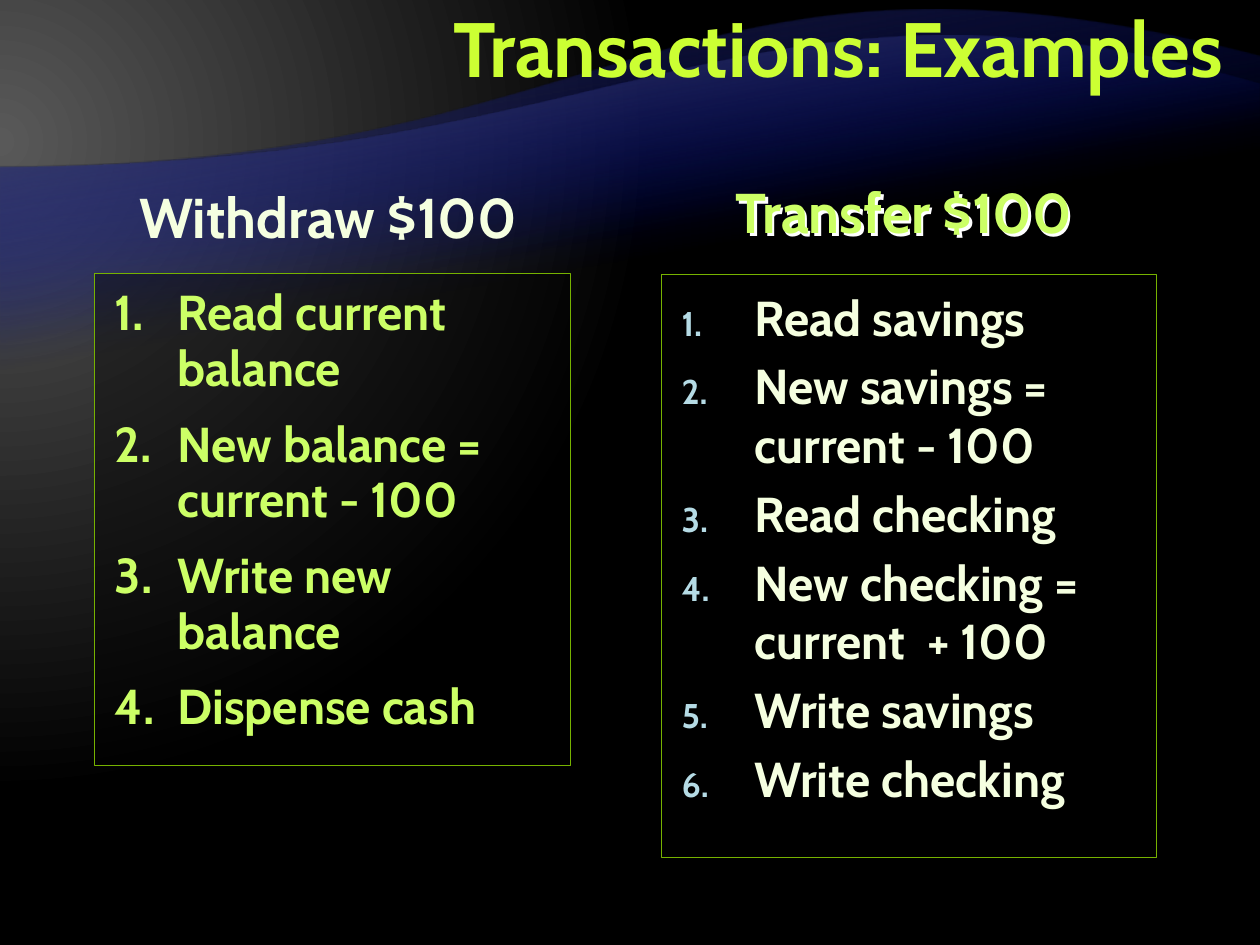
"""Build the slide comparing the withdraw and transfer transactions."""
from lxml import etree
from pptx import Presentation, util as u
from pptx.dml.color import RGBColor
from pptx.enum import shapes, text
from pptx.oxml import ns

rgb = RGBColor.from_string


def gradient(fill, root, stops, direction):
    fill.gradient()
    grad = root.find(".//" + ns.qn("a:gradFill"))
    for child in list(grad):
        grad.remove(child)
    gs_list = etree.SubElement(grad, ns.qn("a:gsLst"))
    for pos, color, alpha in stops:
        gs = etree.SubElement(gs_list, ns.qn("a:gs"), pos=str(pos * 1000))
        clr = etree.SubElement(gs, ns.qn("a:srgbClr"), val=color)
        if alpha < 100:
            etree.SubElement(clr, ns.qn("a:alpha"), val=str(alpha * 1000))
    grad.append(etree.fromstring(direction.replace("/>", f' xmlns:a="{ns.nsuri("a")}"/>', 1)
                                 if direction.startswith("<a:lin") else
                                 direction.replace("<a:path", f'<a:path xmlns:a="{ns.nsuri("a")}"', 1)))


prs = Presentation()
prs.slide_width, prs.slide_height = u.Inches(10), u.Inches(7.5)
COL, ROW = prs.slide_width / 100, prs.slide_height / 75
slide = prs.slides.add_slide(prs.slide_layouts[6])
gradient(slide.background.fill, slide.background._cSld,
         [(0, "595959", 100), (83, "000000", 100)],
         '<a:path path="circle"><a:fillToRect l="20000" t="30000" r="135000" b="100000"/></a:path>')

STEPS = 60
waves = [
    ([(0, 13.3), (50, 13.3), (53.4, -7.5), (100, 4.5)], 65.3, "262626"),
    ([(0, 13.3), (50, 13.3), (59.8, -4.9), (100, 6.7)], 55.7, "595959"),
]
for (a, b, c, d), bottom, edge in waves:
    points = []
    for i in range(STEPS + 1):
        t = i / STEPS
        weights = ((1 - t) ** 3, 3 * t * (1 - t) ** 2, 3 * t * t * (1 - t), t ** 3)
        points.append([sum(w * q[k] for w, q in zip(weights, (a, b, c, d))) for k in (0, 1)])
    builder = slide.shapes.build_freeform(0, round(bottom * 100), scale=COL / 100)
    builder.add_line_segments([(round(x * 100), round(y * 100)) for x, y in points]
                              + [(10000, round(bottom * 100))])
    s = builder.convert_to_shape()
    s.shadow.inherit = False
    s.line.fill.background()
    gradient(s.fill, s._element, [(65, "000D9E", 0), (100, edge, 100)],
             '<a:lin ang="15600000" scaled="0"/>')

headings = [
    ("Transactions: Examples", (26.4, 0.8, 71.7, 9.9), 44, "CCFF33", text.PP_ALIGN.RIGHT, u.Pt(44), False),
    ("Withdraw $100", (7.7, 14, 36.7, 5.5), 32, "F5FFE0", text.PP_ALIGN.CENTER, 1.0, False),
    ("Transfer $100", (52.5, 14, 38.5, 5.5), 32, "CCFF66", text.PP_ALIGN.CENTER, 0.95, True),
]
for words, (x, y, w, h), size, color, align, spacing, shadowed in headings:
    s = slide.shapes.add_textbox(int(x * COL), int(y * ROW), int(w * COL), int(h * ROW))
    tf = s.text_frame
    tf.word_wrap = True
    tf.text = words
    p = tf.paragraphs[0]
    p.alignment, p.line_spacing = align, spacing
    r = p.runs[0]
    r.font.name, r.font.size, r.font.bold = "Cabin", u.Pt(size), True
    r.font.color.rgb = rgb(color)
    if shadowed:
        effects = etree.SubElement(s._element.spPr, ns.qn("a:effectLst"))
        shadow = etree.SubElement(effects, ns.qn("a:outerShdw"), dist="25400", dir="2700000",
                                  algn="ctr", rotWithShape="0")
        etree.SubElement(shadow, ns.qn("a:srgbClr"), val="FFFFFF")

panels = [
    ((52.5, 21.8, 39.3, 47.2 - 1), "F5FFE0", "B5DBE5", 70, 0.58, 1.0, 0.2,
     ["Read savings", "New savings =\vcurrent - 100", "Read checking",
      "New checking =\vcurrent  + 100", "Write savings", "Write checking"]),
    ((7.5, 21.7, 37.8, 39), "CCFF66", "CCFF66", 100, 0.5, 0.95, 0.4,
     ["Read current balance", "New balance =\vcurrent - 100", "Write new balance",
      "Dispense cash"]),
]
SIZE = 28
for (x, y, w, h), color, number_color, number_size, indent, spacing, gap, steps in panels:
    s = slide.shapes.add_shape(shapes.MSO_SHAPE.RECTANGLE,
                               int(x * COL), int(y * ROW), int(w * COL), int(h * ROW))
    s.shadow.inherit = False
    s.fill.solid()
    s.fill.fore_color.rgb = rgb("000000")
    black = s._element.spPr.find(".//" + ns.qn("a:srgbClr"))
    etree.SubElement(black, ns.qn("a:alpha"), val="40000")
    s.line.color.rgb, s.line.width = rgb("76B200"), u.Pt(0.25)
    tf = s.text_frame
    tf.word_wrap = True
    tf.vertical_anchor = text.MSO_ANCHOR.TOP
    tf.margin_left = tf.margin_right = u.Inches(0.16)
    tf.margin_top, tf.margin_bottom = u.Inches(0.1), u.Inches(0.12)
    for i, step in enumerate(steps):
        p = tf.paragraphs[0] if i == 0 else tf.add_paragraph()
        p.text = step
        p.alignment, p.line_spacing = text.PP_ALIGN.LEFT, spacing
        if i:
            p.space_before = u.Pt(round(gap * SIZE, 1))
        pPr = p._p.get_or_add_pPr()
        pPr.set("marL", str(u.Inches(indent)))
        pPr.set("indent", str(-u.Inches(indent)))
        bullet = etree.SubElement(pPr, ns.qn("a:buClr"))
        etree.SubElement(bullet, ns.qn("a:srgbClr"), val=number_color)
        etree.SubElement(pPr, ns.qn("a:buSzPct"), val=str(number_size * 1000))
        etree.SubElement(pPr, ns.qn("a:buFont"), typeface="Cabin")
        etree.SubElement(pPr, ns.qn("a:buAutoNum"), type="arabicPeriod")
        for r in p.runs:
            r.font.name, r.font.size, r.font.bold = "Cabin", u.Pt(SIZE), True
            r.font.color.rgb = rgb(color)

prs.save("out.pptx")
